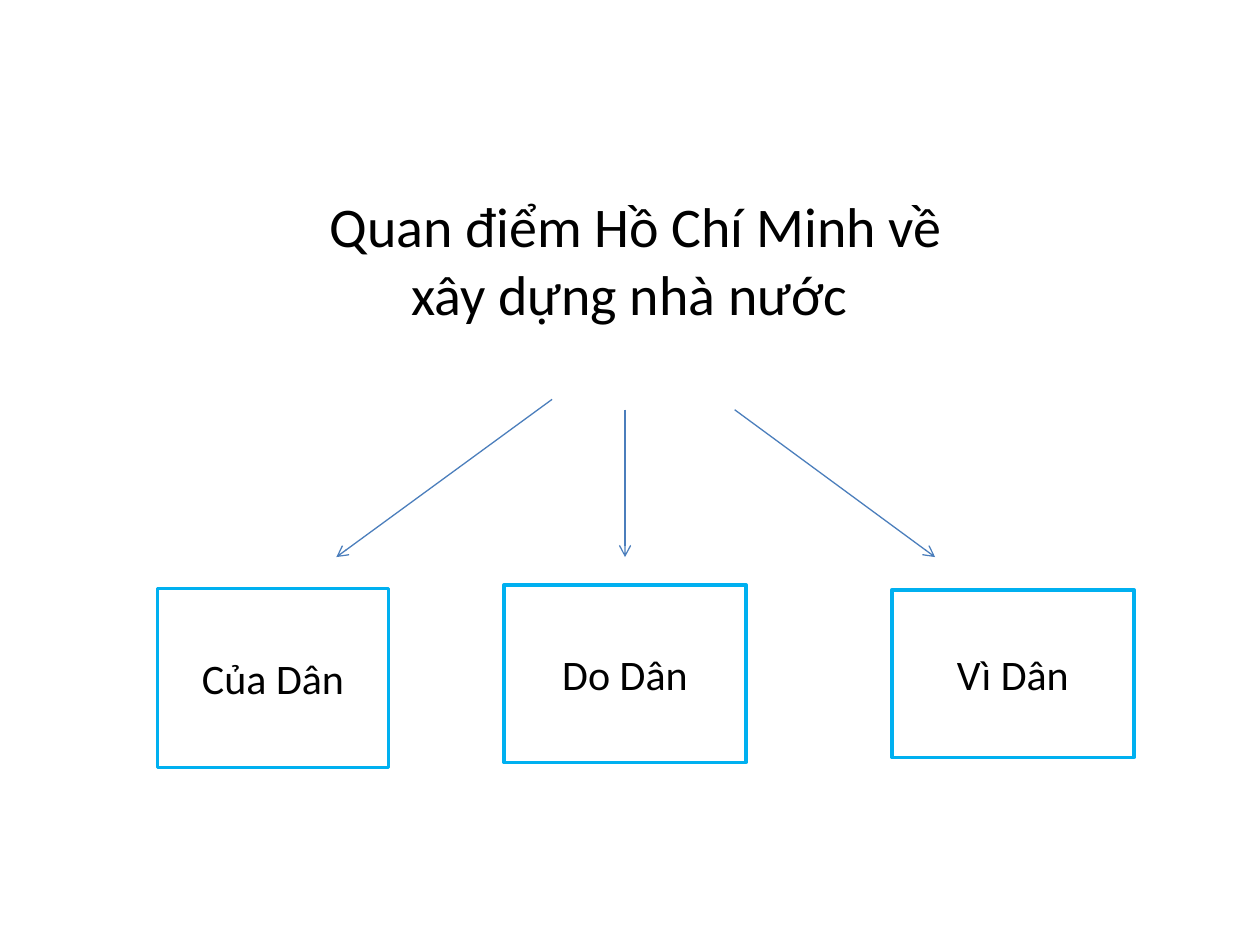
from dataclasses import dataclass

from lxml import etree
from pptx import Presentation
from pptx.dml.color import RGBColor
from pptx.enum import shapes, text
from pptx.oxml import ns
from pptx.util import Cm, Pt

BLACK = RGBColor(0x00, 0x00, 0x00)
WHITE = RGBColor(0xFF, 0xFF, 0xFF)
CYAN = RGBColor(0x00, 0xB0, 0xF0)
BLUE = RGBColor(0x4B, 0x7E, 0xBC)
FONT = "Calibri"


@dataclass
class Box:
    label: str
    left: float
    top: float
    width: float
    height: float


@dataclass
class Arrow:
    x1: float
    y1: float
    x2: float
    y2: float


TITLE = Box("Quan điểm Hồ Chí Minh về xây dựng nhà nước ", 6.15, 3.18, 13.34, 4.09)
BOXES = [
    Box("Do Dân", 10.16, 11.79, 4.88, 3.58),
    Box("Của Dân", 3.18, 11.86, 4.65, 3.61),
    Box("Vì Dân", 17.98, 11.89, 4.88, 3.38),
]
TIP = 11.23
ARROWS = [
    Arrow(11.13, 8.05, 6.78, TIP),
    Arrow(12.6, 8.26, 12.6, TIP),
    Arrow(14.81, 8.26, 18.85, TIP),
]


def put_text(shape, label: str, size: int) -> None:
    frame = shape.text_frame
    frame.word_wrap = True
    frame.vertical_anchor = text.MSO_ANCHOR.MIDDLE
    para = frame.paragraphs[0]
    para.alignment = text.PP_ALIGN.CENTER
    run = para.add_run()
    run.text = label
    run.font.name = FONT
    run.font.size = Pt(size)
    run.font.color.rgb = BLACK


def draw_title(slide, box: Box) -> None:
    title = slide.shapes.title
    title.left, title.top = Cm(box.left), Cm(box.top)
    title.width, title.height = Cm(box.width), Cm(box.height)
    put_text(title, box.label, 32)


def draw_box(slide, box: Box) -> None:
    shape = slide.shapes.add_shape(
        shapes.MSO_SHAPE.RECTANGLE,
        Cm(box.left), Cm(box.top), Cm(box.width), Cm(box.height),
    )
    shape.shadow.inherit = False
    shape.fill.solid()
    shape.fill.fore_color.rgb = WHITE
    shape.line.color.rgb = CYAN
    shape.line.width = Pt(2)
    put_text(shape, box.label, 24)


def draw_arrow(slide, arrow: Arrow) -> None:
    link = slide.shapes.add_connector(
        shapes.MSO_CONNECTOR.STRAIGHT,
        Cm(arrow.x1), Cm(arrow.y1), Cm(arrow.x2), Cm(arrow.y2),
    )
    link.line.color.rgb = BLUE
    link.line.width = Pt(0.75)
    props = link.element.spPr
    etree.SubElement(props.find(ns.qn("a:ln")), ns.qn("a:tailEnd"), type="arrow")
    etree.SubElement(props, ns.qn("a:effectLst"))


def main() -> None:
    deck = Presentation()
    deck.slide_width, deck.slide_height = Cm(25.4), Cm(19.05)
    slide = deck.slides.add_slide(deck.slide_layouts[0])
    extra = slide.placeholders[1].element
    extra.getparent().remove(extra)
    draw_title(slide, TITLE)
    for box in BOXES:
        draw_box(slide, box)
    for arrow in ARROWS:
        draw_arrow(slide, arrow)
    deck.save("out.pptx")


if __name__ == "__main__":
    main()
